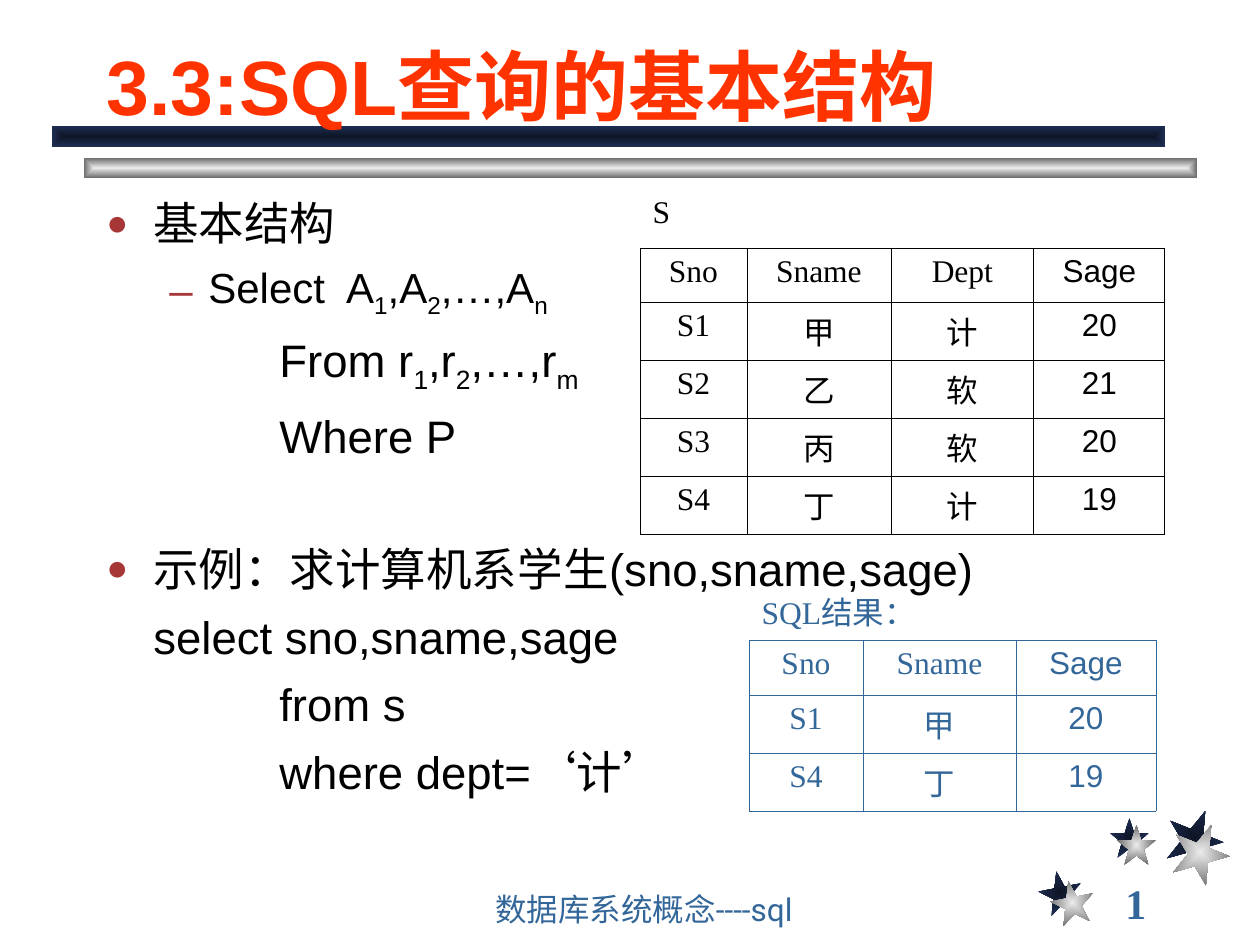
import pptx
import pptx.util
import pptx.dml.color
import pptx.enum.shapes
import pptx.enum.text
import pptx.oxml
import pptx.oxml.ns

RGB = pptx.dml.color.RGBColor
RED = RGB(0xFF, 0x33, 0x00)
BLUE = RGB(0x33, 0x66, 0x99)
BLACK = RGB(0x00, 0x00, 0x00)
MAROON = RGB(0xA7, 0x37, 0x37)
NAVY = (RGB(0x0E, 0x15, 0x26), RGB(0x1E, 0x2E, 0x53))
SILVER = (RGB(0xEA, 0xEA, 0xEA), RGB(0x6C, 0x6C, 0x6C))
SCALE = 914400 // 126
SERIF = "Times New Roman"
PLAIN_STYLE = "{2D5ABB26-0587-4C30-8999-92F81FD0307C}"
SHAPE = pptx.enum.shapes.MSO_SHAPE
ANCHOR = pptx.enum.text.MSO_ANCHOR
ALIGN = pptx.enum.text.PP_ALIGN
qn = pptx.oxml.ns.qn


def px(*lengths):
    """Turn pixel lengths into EMU."""
    return [pptx.util.Emu(n * SCALE) for n in lengths]


def node(text):
    """Make an XML element in the drawing namespace."""
    head, tail = text.split(" ", 1)
    return pptx.oxml.parse_xml(f"{head} {pptx.oxml.ns.nsdecls('a')} {tail}")


def style(font, name, size, color, bold=False):
    """Set the look of a font."""
    font.name, font.size, font.bold = name, pptx.util.Pt(size), bold
    font.color.rgb = color


def add_glow(slide, kind, box, colors, turn=0):
    """Add a shape whose gradient spreads from its centre."""
    shape = slide.shapes.add_shape(kind, *px(*box))
    shape.rotation = turn
    shape.shadow.inherit = False
    shape.line.fill.background()
    shape.fill.gradient()
    for stop, color, place in zip(shape.fill.gradient_stops, colors, (0, 1)):
        stop.color.rgb, stop.position = color, place
    grad = shape._element.spPr.find(qn("a:gradFill"))
    grad.remove(grad.find(qn("a:lin")))
    grad.append(node('<a:path path="rect"><a:fillToRect l="50000" t="50000" '
                     'r="50000" b="50000"/></a:path>'))


def add_decor(slide):
    """Draw the two bars and the three pairs of stars."""
    stars = [((1039, 871, 43, 43), -11, (12, 10)),
             ((1110, 818, 39, 40), 0, (7, 7)),
             ((1166, 809, 57, 58), 22, (6, 14))]
    for box, turn, _ in stars:
        add_glow(slide, SHAPE.STAR_5_POINT, box, NAVY, turn)
    for (x, y, w, h), turn, (dx, dy) in stars:
        add_glow(slide, SHAPE.STAR_5_POINT, (x + dx, y + dy, w, h), SILVER, turn)
    add_glow(slide, SHAPE.RECTANGLE, (84, 158, 1113, 20), SILVER)
    add_glow(slide, SHAPE.RECTANGLE, (52, 126, 1113, 21), NAVY)


def add_title(slide, box, text):
    """Place the title in front of the bars."""
    title = slide.shapes.title
    title.left, title.top, title.width, title.height = px(*box)
    frame = title.text_frame
    frame.text = text
    frame.auto_size = pptx.enum.text.MSO_AUTO_SIZE.NONE
    frame.vertical_anchor = ANCHOR.BOTTOM
    frame.paragraphs[0].alignment = ALIGN.LEFT
    style(frame.paragraphs[0].runs[0].font, "Arial", 44, RED, True)
    slide.shapes._spTree.append(title._element)


def add_label(slide, box, text, name, size, anchor, bold=False):
    """Add one line of blue text."""
    frame = slide.shapes.add_textbox(*px(*box)).text_frame
    frame.word_wrap = True
    frame.vertical_anchor = anchor
    frame.text = text
    style(frame.paragraphs[0].runs[0].font, name, size, BLUE, bold)


def add_body(slide, box, lines):
    """Add the outline; text between bars is set as subscript."""
    frame = slide.shapes.add_textbox(*px(*box)).text_frame
    frame.word_wrap = True
    for i, (text, left, hang, size, gap, mark) in enumerate(lines):
        para = frame.add_paragraph() if i else frame.paragraphs[0]
        para.space_before = pptx.util.Pt(gap)
        for j, part in enumerate(text.split("|")):
            run = para.add_run()
            run.text = part
            style(run.font, "Arial", size, BLACK)
            if j % 2:
                run.font._element.set("baseline", "-25000")
        props = para._p.get_or_add_pPr()
        props.set("marL", str(left * SCALE))
        props.set("indent", str(-hang * SCALE))
        if mark:
            share = 80000 if mark == "●" else 100000
            props.append(node(f'<a:buClr ><a:srgbClr val="{MAROON}"/></a:buClr>'))
            props.append(node(f'<a:buSzPct val="{share}"/>'))
            props.append(node('<a:buFont typeface="Arial"/>'))
            props.append(node(f'<a:buChar char="{mark}"/>'))


def set_edges(cell, sides, color):
    """Draw thin lines on the given sides of a cell."""
    cell.fill.background()
    props = cell._tc.get_or_add_tcPr()
    for i, side in enumerate(sides):
        props.insert(i, node(f'<a:ln{side} w="5715"><a:solidFill><a:srgbClr val="{color}"/>'
                             f'</a:solidFill></a:ln{side}>'))


def add_grid(slide, spot, widths, heights, caption, rows, color, span=1):
    """Add a table with a caption row that has no frame."""
    size = sum(widths), sum(heights)
    table = slide.shapes.add_table(len(heights), len(widths), *px(*spot, *size)).table
    table._tbl.tblPr.find(qn("a:tableStyleId")).text = PLAIN_STYLE
    table.first_row = table.horz_banding = False
    for column, width in zip(table.columns, px(*widths)):
        column.width = width
    for row, height in zip(table.rows, px(*heights)):
        row.height = height
    if span > 1:
        table.cell(0, 0).merge(table.cell(0, span - 1))
    top = [caption] + [""] * (len(widths) - 1)
    for r, texts in enumerate([top] + rows):
        for c, text in enumerate(texts):
            cell = table.cell(r, c)
            set_edges(cell, "LRTB" if r else "B", color)
            cell.text = text
            para = cell.text_frame.paragraphs[0]
            para.alignment = ALIGN.CENTER if r else ALIGN.LEFT
            last = r and c == len(widths) - 1
            for run in para.runs:
                style(run.font, "Arial" if last else SERIF, 18, color)


def build():
    """Build the slide and save it."""
    deck = pptx.Presentation()
    deck.slide_width, deck.slide_height = px(1260, 945)
    slide = deck.slides.add_slide(deck.slide_layouts[5])
    add_decor(slide)
    add_label(slide, (1113, 882, 136, 42), "1", SERIF, 24, ANCHOR.MIDDLE, True)
    add_label(slide, (483, 892, 514, 42), "数据库系统概念----sql", "Roboto", 18, ANCHOR.BOTTOM)
    add_title(slide, (94, 21, 1071, 116), "3.3:SQL查询的基本结构")
    add_body(slide, (94, 189, 953, 672), [
        ("基本结构", 47, 47, 26, 7.5, "●"),
        ("Select  A|1|,A|2|,…,A|n", 102, 39, 24, 7, "–"),
        ("From r|1|,r|2|,…,r|m", 173, 0, 26, 7.5, ""),
        ("Where P", 173, 0, 26, 7.5, ""),
        ("示例：求计算机系学生(sno,sname,sage)", 47, 47, 26, 45, "●"),
        ("select sno,sname,sage", 47, 0, 26, 7.5, ""),
        ("from s", 173, 0, 26, 7.5, ""),
        ("where dept=‘计’", 173, 0, 26, 7.5, "")])
    students = [["Sno", "Sname", "Dept", "Sage"], ["S1", "甲", "计", "20"],
                ["S2", "乙", "软", "21"], ["S3", "丙", "软", "20"], ["S4", "丁", "计", "19"]]
    add_grid(slide, (640, 189), (107, 144, 143, 131), (59, 54, 58, 58, 58, 58),
             "S", students, BLACK)
    result = [[sno, name, age] for sno, name, dept, age in students if dept in ("Dept", "计")]
    add_grid(slide, (749, 582), (114, 153, 140), (58, 55, 58, 58),
             "SQL结果：", result, BLUE, 2)
    deck.save("out.pptx")


build()
